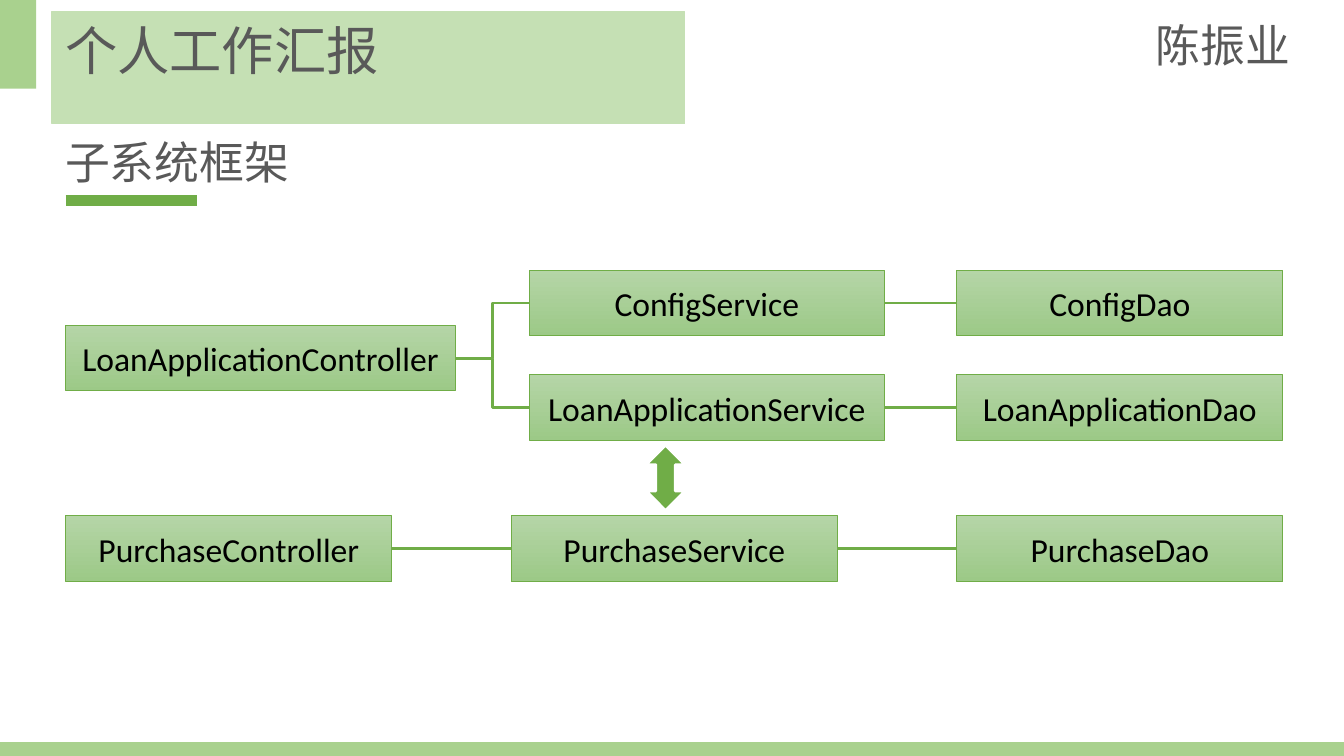
"""Build the subsystem framework slide of a personal work report."""
from dataclasses import dataclass

from pptx import Presentation
from pptx import util as u
from pptx.dml import color
from pptx.enum import shapes, text
from pptx.oxml import ns, xmlchemy

Pt = u.Pt
COLORS = {
    "accent": "70AD47", "band": "A9D18E", "title": "C5E0B4", "white": "FFFFFF",
    "heading": "595959", "label": "000000", "top": "B5D5A7", "bottom": "9CC987",
}
LEFT, MIDDLE, RIGHT = 35.3, 283.5, 512.6
NARROW, MEDIUM, WIDE = 174.7, 190.4, 208.7
NODE_HEIGHT = 35.3
CONFIG_Y, LOAN_Y, PURCHASE_Y = 144.7, 200.7, 276.3
RECT = shapes.MSO_SHAPE.RECTANGLE
STRAIGHT, ELBOW = shapes.MSO_CONNECTOR.STRAIGHT, shapes.MSO_CONNECTOR.ELBOW
RIGHT_SITE, LEFT_SITE = 3, 1


@dataclass
class Node:
    name: str
    x: float
    y: float
    width: float = NARROW


@dataclass
class Link:
    start: str
    end: str
    kind: int = STRAIGHT


NODES = [
    Node("LoanApplicationController", LEFT, 174.2, WIDE),
    Node("ConfigService", MIDDLE, CONFIG_Y, MEDIUM),
    Node("LoanApplicationService", MIDDLE, LOAN_Y, MEDIUM),
    Node("ConfigDao", RIGHT, CONFIG_Y),
    Node("LoanApplicationDao", RIGHT, LOAN_Y),
    Node("PurchaseController", LEFT, PURCHASE_Y),
    Node("PurchaseService", (LEFT + RIGHT) / 2, PURCHASE_Y),
    Node("PurchaseDao", RIGHT, PURCHASE_Y),
]
LINKS = [
    Link("LoanApplicationController", "ConfigService", ELBOW),
    Link("LoanApplicationController", "LoanApplicationService", ELBOW),
    Link("ConfigService", "ConfigDao"),
    Link("LoanApplicationService", "LoanApplicationDao"),
    Link("PurchaseController", "PurchaseService"),
    Link("PurchaseService", "PurchaseDao"),
]


def rgb(name: str) -> color.RGBColor:
    return color.RGBColor.from_string(COLORS[name])


def set_fill(sp, name: str) -> None:
    sp.fill.solid()
    sp.fill.fore_color.rgb = rgb(name)


def set_line(sp, name: str, width: float) -> None:
    sp.line.color.rgb = rgb(name)
    sp.line.width = Pt(width)


def set_text(sp, words: str, size: float, font: str, name: str, align) -> None:
    tf = sp.text_frame
    tf.text = words
    tf.word_wrap = True
    p = tf.paragraphs[0]
    p.alignment = align
    p.font.size = Pt(size)
    p.font.name = font
    p.font.color.rgb = rgb(name)


def add_shape(s, kind, x: float, y: float, w: float, h: float):
    sp = s.shapes.add_shape(kind, Pt(x), Pt(y), Pt(w), Pt(h))
    sp.shadow.inherit = False
    return sp


def add_band(s, x: float, y: float, w: float, h: float) -> None:
    sp = add_shape(s, RECT, x, y, w, h)
    set_fill(sp, "band")
    sp.line.fill.background()


def add_heading(s, words: str, x: float, y: float, w: float) -> None:
    sp = s.shapes.add_textbox(Pt(x), Pt(y), Pt(w), Pt(36.3))
    set_text(sp, words, 24, "Arial", "heading", text.PP_ALIGN.LEFT)
    sp.text_frame.auto_size = text.MSO_AUTO_SIZE.SHAPE_TO_FIT_TEXT


def add_line(s, kind, x1: float, y1: float, x2: float, y2: float, width: float):
    sp = s.shapes.add_connector(kind, Pt(x1), Pt(y1), Pt(x2), Pt(y2))
    set_line(sp, "accent", width)
    sp._element.spPr.append(xmlchemy.OxmlElement("a:effectLst"))
    return sp


def add_node(s, node: Node):
    sp = add_shape(s, RECT, node.x, node.y, node.width, NODE_HEIGHT)
    sp.fill.gradient()
    sp.fill.gradient_angle = 270
    for stop, name in zip(sp.fill.gradient_stops, ("top", "bottom")):
        stop.color.rgb = rgb(name)
    set_line(sp, "accent", 0.5)
    set_text(sp, node.name, 18, "Calibri", "label", text.PP_ALIGN.CENTER)
    sp.text_frame.vertical_anchor = text.MSO_ANCHOR.MIDDLE
    return sp


def add_link(s, link: Link, boxes: dict) -> None:
    sp = add_line(s, link.kind, 0, 0, 0, 0, 1.5)
    sp.begin_connect(boxes[link.start], RIGHT_SITE)
    sp.end_connect(boxes[link.end], LEFT_SITE)


def add_title(s, words: str) -> None:
    sp = s.shapes.title
    sp.left, sp.top, sp.width, sp.height = Pt(27.8), Pt(6.3), Pt(339), Pt(41.2)
    set_fill(sp, "title")
    set_line(sp, "title", 0.75)
    set_text(sp, words, 28, "Noto Sans CJK SC", "heading", text.PP_ALIGN.LEFT)
    sp.text_frame.vertical_anchor = text.MSO_ANCHOR.TOP
    sp.text_frame.auto_size = text.MSO_AUTO_SIZE.SHAPE_TO_FIT_TEXT


def main() -> None:
    prs = Presentation()
    prs.slide_width, prs.slide_height = Pt(720), Pt(405)
    s = prs.slides.add_slide(prs.slide_layouts[5])
    add_band(s, 0, 0, 19.4, 47.5)
    add_band(s, 0, 397.6, 720, 7.4)
    add_title(s, "个人工作汇报")
    add_heading(s, "子系统框架", 27.8, 68.5, 556.6)
    add_line(s, STRAIGHT, LEFT, 107.4, 105.6, 107.4, 6)
    add_heading(s, "陈振业", 612.2, 5.8, 87.2)
    boxes = {node.name: add_node(s, node) for node in NODES}
    for link in LINKS:
        add_link(s, link, boxes)
    arrow = add_shape(s, shapes.MSO_SHAPE.UP_DOWN_ARROW, 346.1, 238.5, 20.9, 35)
    set_fill(arrow, "accent")
    set_line(arrow, "white", 1.5)
    prs.save("out.pptx")


main()
